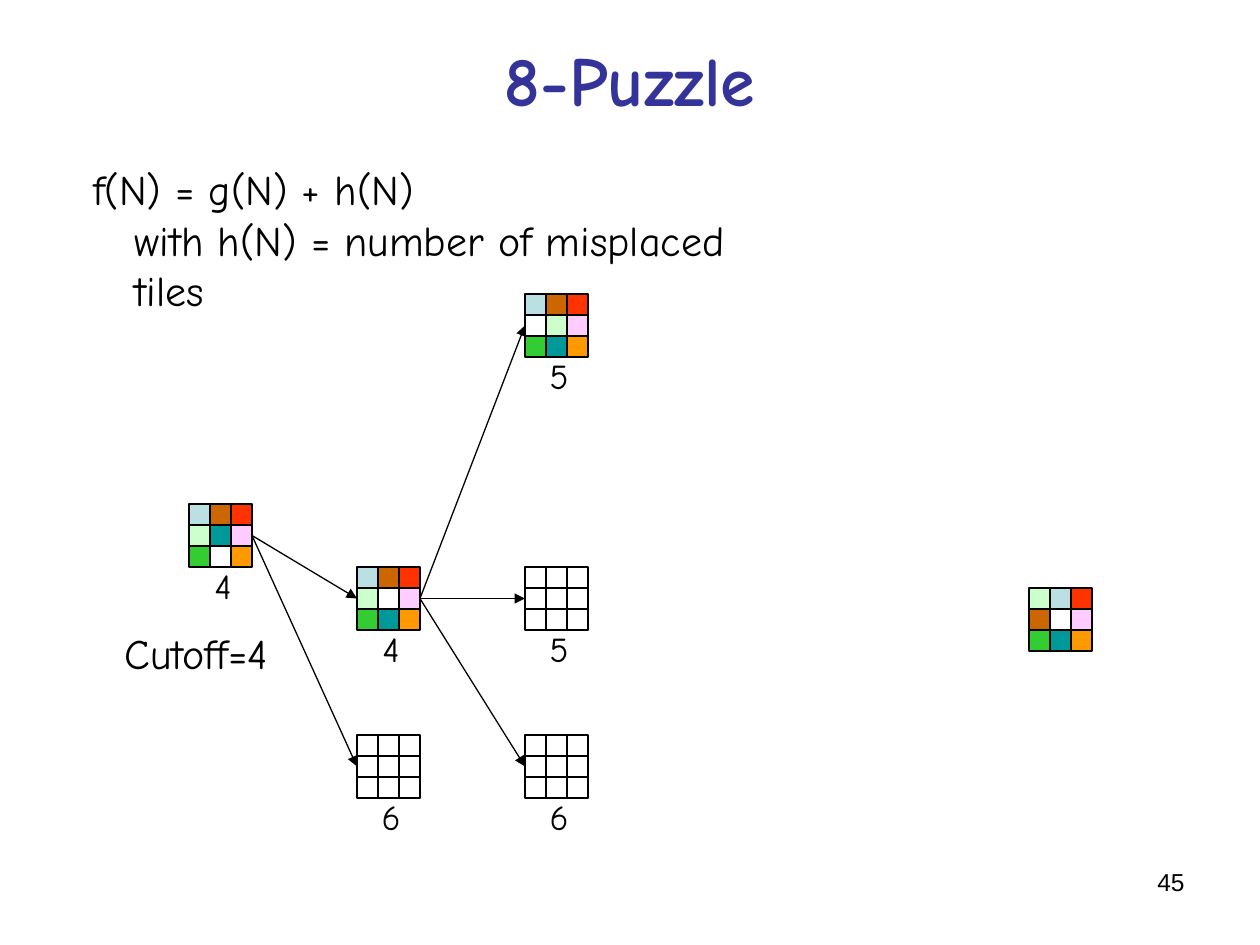
import pptx
import pptx.util
import pptx.dml.color
import pptx.enum.shapes
import pptx.enum.text
import pptx.oxml
import pptx.oxml.ns

RGB = pptx.dml.color.RGBColor
ALIGN = pptx.enum.text.PP_ALIGN
ANCHOR = pptx.enum.text.MSO_ANCHOR
COLS, ROWS = 60, 45
UNIT = pptx.util.Inches(10) / COLS
BLACK = RGB(0x00, 0x00, 0x00)
WHITE = RGB(0xFF, 0xFF, 0xFF)
TITLE_BLUE = RGB(0x33, 0x33, 0x99)
TILE_COLORS = {
    "1": RGB(0xBB, 0xE0, 0xE3),
    "2": RGB(0xCC, 0x66, 0x00),
    "3": RGB(0xFF, 0x33, 0x00),
    "4": RGB(0xCC, 0xFF, 0xCC),
    "5": RGB(0x00, 0x99, 0x99),
    "6": RGB(0xFF, 0xCC, 0xFF),
    "7": RGB(0x33, 0xCC, 0x33),
    "8": RGB(0xFF, 0x99, 0x00),
    "_": WHITE,
}
HIDDEN = "_" * 9
BOARDS = {
    "root": (9, 24, "1234567_8", "4"),
    "goal": (49, 28, "4132_6758", ""),
    "up": (17, 27, "1234_6758", "4"),
    "side": (17, 35, HIDDEN, "6"),
    "up_down": (25, 35, HIDDEN, "6"),
    "up_right": (25, 27, HIDDEN, "5"),
    "up_left": (25, 14, "123_46758", "5"),
}
MOVES = [("root", "up"), ("root", "side"), ("up", "up_down"), ("up", "up_right"), ("up", "up_left")]


def grid(*cells):
    """Turn grid counts into slide lengths."""
    return [pptx.util.Emu(round(c * UNIT)) for c in cells]


def add_text(slide, lines, box, size=24, font="Comic Neue", color=BLACK, bold=False,
             align=ALIGN.LEFT, anchor=ANCHOR.TOP, wrap=False, indents=(0,)):
    """Add a text box with one paragraph for each line."""
    tf = slide.shapes.add_textbox(*grid(*box)).text_frame
    tf.word_wrap = wrap
    tf.vertical_anchor = anchor
    for i, line in enumerate(lines.split("\n")):
        p = tf.paragraphs[0] if i == 0 else tf.add_paragraph()
        p.alignment = align
        if indents[i]:
            p._p.get_or_add_pPr().set("marL", str(pptx.util.Inches(indents[i])))
        r = p.add_run()
        r.text = line
        r.font.size = pptx.util.Pt(size)
        r.font.name = font
        r.font.bold = bold
        r.font.color.rgb = color


def add_tile(slide, col, row, color):
    """Add one square tile."""
    sp = slide.shapes.add_shape(pptx.enum.shapes.MSO_SHAPE.RECTANGLE, *grid(col, row, 1, 1))
    sp.shadow.inherit = False
    sp.fill.solid()
    sp.fill.fore_color.rgb = color
    sp.line.color.rgb = BLACK
    sp.line.width = pptx.util.Pt(0.75)
    return sp


def add_board(slide, col, row, state, cost):
    """Add a board with its cost and return the tiles where arrows end and start."""
    if cost:
        add_text(slide, cost, (col + 0.57, row + 2.58, 2.1, 2.64), size=20, align=ALIGN.CENTER)
    tiles = [add_tile(slide, col + i % 3, row + i // 3, TILE_COLORS[t]) for i, t in enumerate(state)]
    return tiles[3], tiles[5]


def add_arrow(slide, start, end):
    """Join the right side of one tile to the left side of another."""
    line = slide.shapes.add_connector(pptx.enum.shapes.MSO_CONNECTOR.STRAIGHT, 0, 0, 0, 0)
    line.begin_connect(start, 3)
    line.end_connect(end, 1)
    line.line.color.rgb = BLACK
    line.line.width = pptx.util.Pt(0.75)
    tail = pptx.oxml.parse_xml(f'<a:tailEnd {pptx.oxml.ns.nsdecls("a")} type="triangle"/>')
    line.line._get_or_add_ln().append(tail)
    line._element.spPr.append(pptx.oxml.parse_xml(f'<a:effectLst {pptx.oxml.ns.nsdecls("a")}/>'))


def main():
    """Build the 8-puzzle search slide."""
    prs = pptx.Presentation()
    prs.slide_width, prs.slide_height = grid(COLS, ROWS)
    slide = prs.slides.add_slide(prs.slide_layouts[6])
    add_text(slide, "45", (43, 41, 14, 3.1), size=14, font="Arial", align=ALIGN.RIGHT, wrap=True)
    add_text(slide, "8-Puzzle", (3, 0, 54, 7.5), size=40, color=TITLE_BLUE, bold=True,
             align=ALIGN.CENTER, anchor=ANCHOR.MIDDLE, wrap=True)
    add_text(slide, "f(N) = g(N) + h(N)\nwith h(N) = number of misplaced tiles",
             (3.84, 7.5, 35.2, 5.4), indents=(0, 0.33))
    add_text(slide, "Cutoff=4", (5.34, 29.58, 8.1, 3))
    ends = {name: add_board(slide, *board) for name, board in BOARDS.items()}
    for parent, child in MOVES:
        add_arrow(slide, ends[parent][1], ends[child][0])
    prs.save("out.pptx")


if __name__ == "__main__":
    main()
